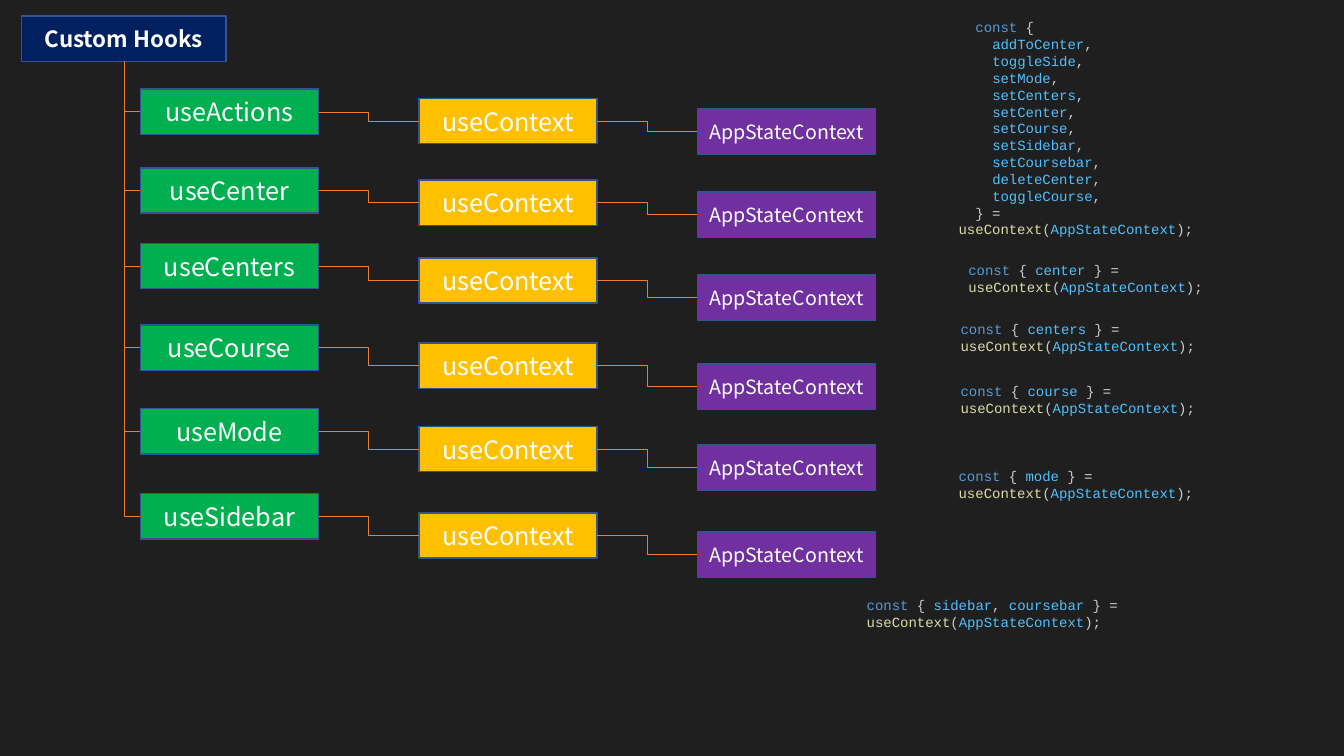
from itertools import groupby

from pptx import Presentation
from pptx import util as u
from pptx.dml.color import RGBColor
from pptx.enum import shapes, text
from pptx.oxml.ns import qn

BACKGROUND = RGBColor(0x1F, 0x1F, 0x1F)
NAVY = RGBColor(0x00, 0x20, 0x60)
GREEN = RGBColor(0x00, 0xB0, 0x50)
AMBER = RGBColor(0xFF, 0xC0, 0x00)
PURPLE = RGBColor(0x70, 0x30, 0xA0)
WHITE = RGBColor(0xFF, 0xFF, 0xFF)
BORDER = RGBColor(0x32, 0x54, 0x91)
ORANGE = RGBColor(0xED, 0x7D, 0x31)

# Code colours
PUNCTUATION = RGBColor(0xCC, 0xCC, 0xCC)
NAME = RGBColor(0x4F, 0xC1, 0xFF)
TOKENS = {
    "const": RGBColor(0x56, 0x9C, 0xD6),
    "useContext": RGBColor(0xDC, 0xDC, 0xAA),
    "=": RGBColor(0xD4, 0xD4, 0xD4),
}

BOX_WIDTH, BOX_HEIGHT = 127.4, 32.4
BOTTOM, LEFT, RIGHT = 2, 1, 3  # connection sites of a rectangle


class Diagram:
    label_font = "Noto Sans CJK KR"
    code_font = "Courier New"

    def __init__(self, page):
        self.page = page
        page.background.fill.solid()
        page.background.fill.fore_color.rgb = BACKGROUND

    def style(self, span, font, size, color, bold=False):
        span.font.name = font
        span.font.size = u.Pt(size)
        span.font.color.rgb = color
        span.font.bold = bold

    def box(self, label, left, middle, fill, size=18, width=BOX_WIDTH, bold=False):
        box = self.page.shapes.add_shape(
            shapes.MSO_SHAPE.RECTANGLE, u.Pt(left), u.Pt(middle - BOX_HEIGHT / 2),
            u.Pt(width), u.Pt(BOX_HEIGHT))
        box.shadow.inherit = False
        box.fill.solid()
        box.fill.fore_color.rgb = fill
        box.line.color.rgb = BORDER
        box.line.width = u.Pt(1)
        frame = box.text_frame
        frame.text = label
        frame.vertical_anchor = text.MSO_ANCHOR.MIDDLE
        para = frame.paragraphs[0]
        para.alignment = text.PP_ALIGN.CENTER
        self.style(para.runs[0], self.label_font, size, WHITE, bold)
        return box

    def connect(self, start, start_site, end, end_site):
        line = self.page.shapes.add_connector(shapes.MSO_CONNECTOR.ELBOW, 0, 0, 0, 0)
        line.begin_connect(start, start_site)
        line.end_connect(end, end_site)
        line.line.color.rgb = ORANGE
        line.line.width = u.Pt(0.5)
        properties = line._element.spPr
        properties.append(properties.makeelement(qn("a:effectLst"), {}))
        return line

    def branch(self, start, end):
        """One-bend connector: down from start, then right into end."""
        line = self.connect(start, BOTTOM, end, LEFT)
        across, down = line.width, line.height
        line.left += (across - down) // 2
        line.top += (down - across) // 2
        line.width, line.height = down, across
        properties = line._element.spPr
        properties.find(qn("a:prstGeom")).set("prst", "bentConnector2")
        frame = properties.find(qn("a:xfrm"))
        frame.set("rot", str(270 * 60000))
        frame.set("flipH", "1")

    def code(self, lines, left, top, width, height=19.4):
        """Lines are (first-line indent, source) pairs."""
        box = self.page.shapes.add_textbox(
            u.Pt(left), u.Pt(top), u.Pt(width), u.Pt(height))
        frame = box.text_frame
        frame.word_wrap = True
        frame.auto_size = text.MSO_AUTO_SIZE.SHAPE_TO_FIT_TEXT
        for number, (indent, source) in enumerate(lines):
            para = frame.add_paragraph() if number else frame.paragraphs[0]
            if indent:
                para._p.get_or_add_pPr().set("indent", str(u.Pt(indent)))
            for is_name, part in groupby(
                    source, lambda char: char if char == "=" else char.isalpha()):
                span = para.add_run()
                span.text = "".join(part)
                color = TOKENS.get(span.text, NAME if is_name else PUNCTUATION)
                self.style(span, self.code_font, 10, color)


deck = Presentation()
deck.slide_width, deck.slide_height = u.Pt(960), u.Pt(540)
diagram = Diagram(deck.slides.add_slide(deck.slide_layouts[6]))

# Title box
title = diagram.box("Custom Hooks", 15.4, 27.7, NAVY, 16, 146.2, bold=True)

# Hook rows: name and the vertical middle of each of the three boxes
HOOKS = [
    ("useActions", 79.9, 86.4, 93.8),
    ("useCenter", 136.1, 144.7, 153.4),
    ("useCenters", 190.1, 200.4, 212.6),
    ("useCourse", 248.4, 261.2, 276.2),
    ("useMode", 308.2, 320.8, 334),
    ("useSidebar", 368.8, 382.5, 396.2),
]
for name, hook_middle, context_middle, state_middle in HOOKS:
    hook = diagram.box(name, 100.2, hook_middle, GREEN)
    context = diagram.box("useContext", 299.2, context_middle, AMBER)
    state = diagram.box("AppStateContext", 498.2, state_middle, PURPLE, 14)
    diagram.branch(title, hook)
    diagram.connect(hook, RIGHT, context, LEFT)
    diagram.connect(context, RIGHT, state, LEFT)

# Code for useActions
CALL = "} = useContext(AppStateContext);"
ACTIONS = ["addToCenter", "toggleSide", "setMode", "setCenters", "setCenter",
           "setCourse", "setSidebar", "setCoursebar", "deleteCenter", "toggleCourse"]
action_lines = [(24, action + ",") for action in ACTIONS]
diagram.code([(12, "const {"), *action_lines, (12, CALL)], 677.7, 10, 211, 152.6)

# Code for the other hooks
SNIPPETS = [
    ("center", 684.6, 183.6, 275),
    ("centers", 679.1, 225.6, 275.8),
    ("course", 679.1, 270, 278),
    ("mode", 677.7, 330.6, 269.3),
    ("sidebar, coursebar", 612, 422.8, 334.8),
]
for names, left, top, width in SNIPPETS:
    diagram.code([(0, "const { " + names + " " + CALL)], left, top, width)

deck.save("out.pptx")
